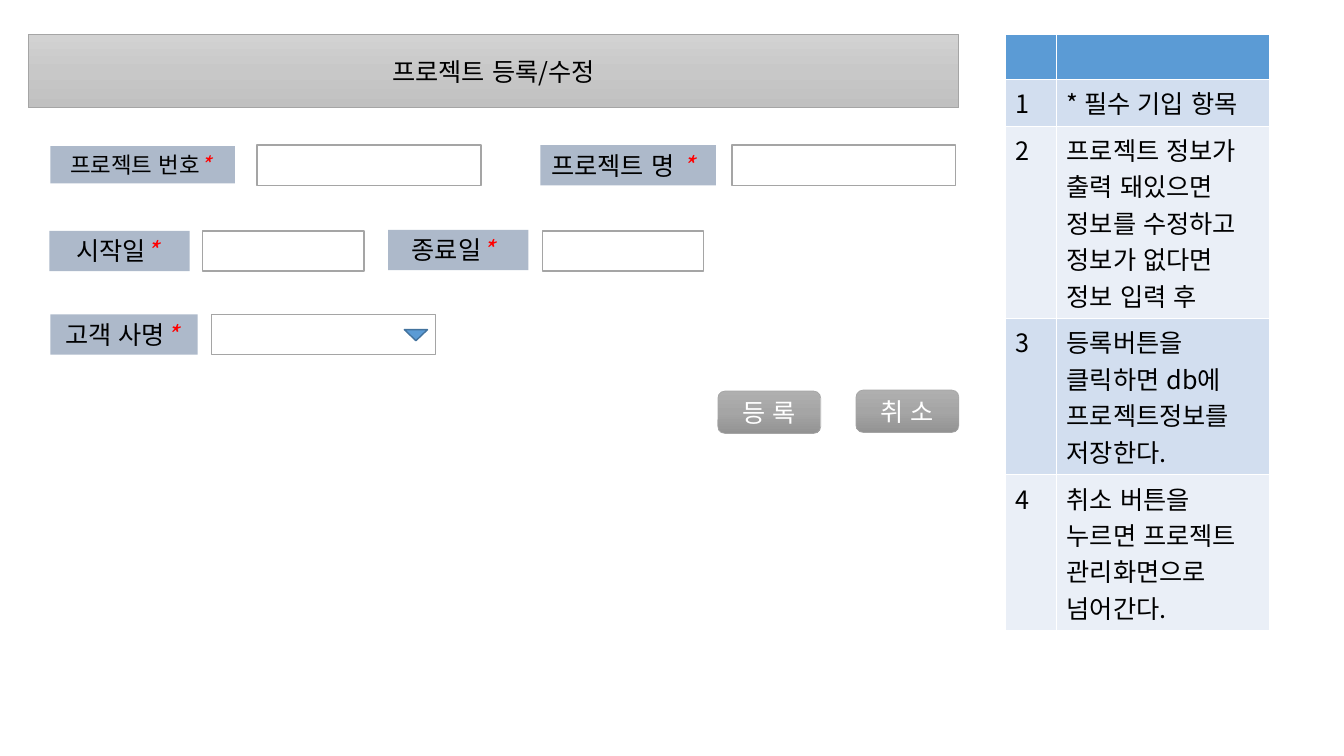
from copy import deepcopy
from dataclasses import dataclass

from lxml.etree import SubElement
from pptx import Presentation
from pptx.dml.color import RGBColor
from pptx.enum.lang import MSO_LANGUAGE_ID as Lang
from pptx.enum.shapes import MSO_SHAPE as Preset
from pptx.enum.text import MSO_ANCHOR as Anchor, MSO_AUTO_SIZE as AutoSize, PP_ALIGN as Align
from pptx.oxml.ns import qn
from pptx.util import Inches, Pt

FONT = "Noto Sans CJK KR"
BLACK, WHITE, RED, GRAY = "000000", "FFFFFF", "FF0000", "A5A5A5"
LABEL_FILL, BLUE, DARK_BLUE = "ADB9CA", "5B9BD5", "43739E"
BAND_FILLS = ("D2DEEF", "EAEFF7")
TITLE_SHADES = ("D2D2D2", "C8C8C8", "C0C0C0")
BUTTON_SHADES = ("AFAFAF", "A5A5A5", "939393")
FIELD_HEIGHT = 0.4


@dataclass
class Panel:
    """A title bar or button with a three-step gradient."""
    text: str
    left: float
    top: float
    width: float
    height: float
    preset: Preset
    shades: tuple
    color: str


@dataclass
class Label:
    """The caption of a required field."""
    text: str
    left: float
    top: float
    width: float
    height: float = FIELD_HEIGHT
    size: int = 18
    mark: str = "* "
    right_inset: float = 0.1


@dataclass
class Field:
    """An empty input box."""
    left: float
    top: float
    width: float


PANELS = [
    Panel("프로젝트 등록/수정", 0.28, 0.34, 9.23, 0.73, Preset.RECTANGLE, TITLE_SHADES, BLACK),
    Panel("등 록", 7.12, 3.88, 1.02, 0.42, Preset.ROUNDED_RECTANGLE, BUTTON_SHADES, WHITE),
    Panel("취 소", 8.49, 3.87, 1.02, 0.42, Preset.ROUNDED_RECTANGLE, BUTTON_SHADES, WHITE),
]
LABELS = [
    Label("프로젝트 번호", 0.5, 1.45, 1.83, height=0.37, size=16),
    Label("프로젝트 명", 5.36, 1.44, 1.74, mark=" * ", right_inset=0.16),
    Label("시작일", 0.49, 2.29, 1.39),
    Label("종료일", 3.85, 2.28, 1.39, right_inset=0.16),
    Label("고객 사명", 0.5, 3.12, 1.46),
]
FIELDS = [
    Field(2.55, 1.44, 2.22), Field(7.26, 1.44, 2.22),
    Field(2.01, 2.29, 1.6), Field(5.38, 2.29, 1.6),
    Field(2.1, 3.12, 2.22),
]
NOTES = [
    ["* 필수 기입 항목"],
    ["프로젝트 정보가 출력 돼있으면", "정보를 수정하고", "정보가 없다면 정보 입력 후"],
    ["등록버튼을 클릭하면 db에 프로젝트정보를 저장한다."],
    ["취소 버튼을 누르면 프로젝트 관리화면으로 넘어간다."],
]


def rgb(color: str) -> RGBColor:
    return RGBColor.from_string(color)


def add_run(paragraph, text: str, color: str = BLACK, size: int = 18, **formats) -> None:
    run = paragraph.add_run()
    run.text = text
    run.font.color.rgb = rgb(color)
    formats |= {"size": Pt(size), "name": FONT, "language_id": Lang.KOREAN}
    for attribute, value in formats.items():
        setattr(run.font, attribute, value)
    # East Asian typeface for the Korean letters
    SubElement(run.font._element, qn("a:ea"), typeface=FONT)


def add_box(shapes, preset: Preset, left: float, top: float, width: float, height: float,
            fill: str = WHITE, line: str = "", line_width: float = 1):
    box = shapes.add_shape(preset, *map(Inches, (left, top, width, height)))
    box.shadow.inherit = False
    box.fill.solid()
    box.fill.fore_color.rgb = rgb(fill)
    if line:
        box.line.color.rgb = rgb(line)
        box.line.width = Pt(line_width)
    else:
        box.line.fill.background()
    return box


def set_gradient(box, shades: tuple) -> None:
    box.fill.gradient()
    box.fill.gradient_angle = 270
    stop_list = box._element.spPr.find(".//" + qn("a:gsLst"))
    stop_list.insert(1, deepcopy(stop_list[0]))
    for index, (stop, shade) in enumerate(zip(box.fill.gradient_stops, shades)):
        stop.position = index / 2
        stop.color.rgb = rgb(shade)


def add_panel(shapes, panel: Panel) -> None:
    box = add_box(shapes, panel.preset, panel.left, panel.top, panel.width, panel.height,
                  line=GRAY, line_width=0.5)
    set_gradient(box, panel.shades)
    box.text_frame.vertical_anchor = Anchor.MIDDLE
    caption = box.text_frame.paragraphs[0]
    caption.alignment = Align.CENTER
    add_run(caption, panel.text, panel.color)


def add_label(shapes, label: Label) -> None:
    box = add_box(shapes, Preset.RECTANGLE, label.left, label.top, label.width, label.height,
                  LABEL_FILL)
    formats = {"word_wrap": True, "auto_size": AutoSize.SHAPE_TO_FIT_TEXT,
               "vertical_anchor": Anchor.TOP, "margin_right": Inches(label.right_inset)}
    for attribute, value in formats.items():
        setattr(box.text_frame, attribute, value)
    caption = box.text_frame.paragraphs[0]
    caption.alignment = Align.CENTER
    add_run(caption, label.text, size=label.size)
    add_run(caption, label.mark, RED, label.size, italic=True)


def fill_cell(cell, fill: str, lines: list[str]) -> None:
    cell.fill.solid()
    cell.fill.fore_color.rgb = rgb(fill)
    for index, line in enumerate(lines):
        frame = cell.text_frame
        add_run(frame.add_paragraph() if index else frame.paragraphs[0], line)


def add_notes_table(shapes) -> None:
    frame = shapes.add_table(len(NOTES) + 1, 2, *map(Inches, (9.97, 0.34, 2.62, 2.09)))
    table = frame.table
    for column, width in zip(table.columns, (0.51, 2.11)):
        column.width = Inches(width)
    for index, row in enumerate(table.rows):
        row.height = Inches(0.41 if index else 0.45)
    for cell in table.rows[0].cells:
        fill_cell(cell, BLUE, [])
    for number, lines in enumerate(NOTES, start=1):
        band = BAND_FILLS[(number - 1) % 2]
        fill_cell(table.cell(number, 0), band, [str(number)])
        fill_cell(table.cell(number, 1), band, lines)


def main() -> None:
    deck = Presentation()
    deck.slide_width, deck.slide_height = Inches(13.33), Inches(7.5)
    shapes = deck.slides.add_slide(deck.slide_layouts[6]).shapes

    # Title bar and buttons
    for panel in PANELS:
        add_panel(shapes, panel)

    # Screen notes
    add_notes_table(shapes)

    # Form
    for label in LABELS:
        add_label(shapes, label)
    for field in FIELDS:
        add_box(shapes, Preset.RECTANGLE, field.left, field.top, field.width, FIELD_HEIGHT,
                line=GRAY)

    # Drop-down arrow of the customer field
    arrow = add_box(shapes, Preset.ISOSCELES_TRIANGLE, 4.01, 3.27, 0.23, 0.11, BLUE, DARK_BLUE)
    arrow.rotation = 180

    deck.save("out.pptx")


if __name__ == "__main__":
    main()
